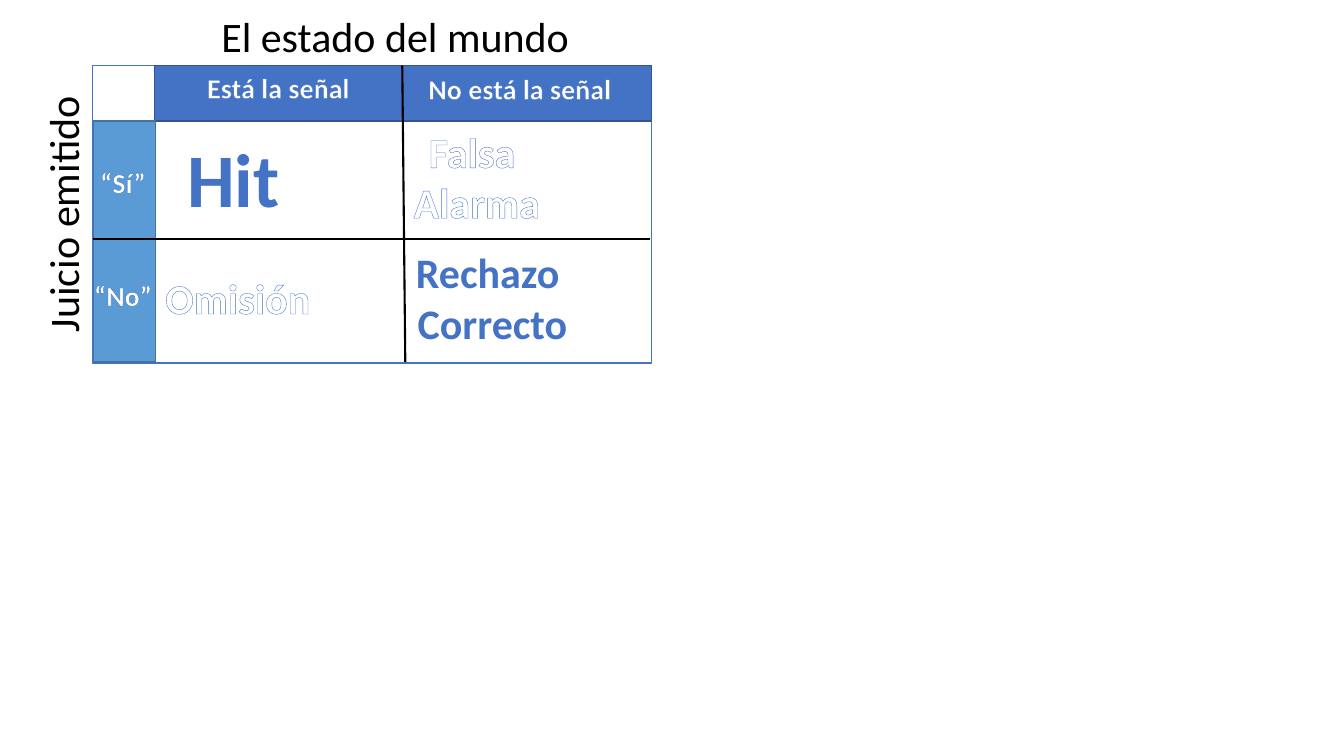
import dataclasses

import lxml.etree
import pptx
import pptx.dml.color
import pptx.enum.dml
import pptx.enum.shapes
import pptx.enum.text
import pptx.oxml.ns
import pptx.util

Inches = pptx.util.Inches
Pt = pptx.util.Pt
qn = pptx.oxml.ns.qn


@dataclasses.dataclass(frozen=True)
class Theme:
    font: str = "Calibri"
    white: str = "FFFFFF"
    black: str = "000000"
    blue: str = "4472C4"
    blue_edge: str = "325491"
    sky: str = "5B9BD5"
    sky_edge: str = "43739E"
    pale: str = "8FAADC"
    hit_size: int = 54
    large_size: int = 30
    header_size: int = 20


THEME = Theme()

# Text styles: outline is a colour and a width in points
CORRECT = {"color": THEME.blue, "bold": True, "outline": (THEME.white, 0.75)}
ERROR = {"color": THEME.pale, "bold": True, "outline": (THEME.blue, 1), "hatched": True}
HEADER = {"color": THEME.white, "bold": True, "outline": (THEME.blue, 0.8)}
AXIS = {"color": THEME.black, "bold": False}


def rgb(value):
    return pptx.dml.color.RGBColor.from_string(value)


def add_panel(page, place, fill, edge):
    panel = page.shapes.add_shape(
        pptx.enum.shapes.MSO_SHAPE.RECTANGLE, *map(Inches, place))
    panel.shadow.inherit = False
    panel.fill.solid()
    panel.fill.fore_color.rgb = rgb(fill)
    panel.line.color.rgb = rgb(edge)
    panel.line.width = Pt(1)


def add_divider(page, start, end):
    divider = page.shapes.add_connector(
        pptx.enum.shapes.MSO_CONNECTOR.STRAIGHT, *map(Inches, start + end))
    divider.line.color.rgb = rgb(THEME.black)
    divider.line.width = Pt(1.5)
    lxml.etree.SubElement(divider._element.spPr, qn("a:effectLst"))


def outline_text(span, color, width):
    line = lxml.etree.Element(qn("a:ln"), w=str(Pt(width)))
    fill = lxml.etree.SubElement(line, qn("a:solidFill"))
    lxml.etree.SubElement(fill, qn("a:srgbClr"), val=color)
    span.font._element.insert(0, line)


def add_label(page, place, lines, size, style, rotation=0):
    box = page.shapes.add_textbox(*map(Inches, place))
    box.rotation = rotation
    frame = box.text_frame
    frame.word_wrap = False
    frame.auto_size = pptx.enum.text.MSO_AUTO_SIZE.SHAPE_TO_FIT_TEXT
    font_values = {"name": THEME.font, "size": Pt(size), "bold": style["bold"]}
    for index, line in enumerate(lines):
        para = frame.add_paragraph() if index else frame.paragraphs[0]
        para.alignment = pptx.enum.text.PP_ALIGN.CENTER
        span = para.add_run()
        span.text = line
        for name, value in font_values.items():
            setattr(span.font, name, value)
        fill = span.font.fill
        if style.get("hatched"):
            fill.patterned()
            fill.pattern = pptx.enum.dml.MSO_PATTERN.LIGHT_DOWNWARD_DIAGONAL
            fill.back_color.rgb = rgb(THEME.white)
        else:
            fill.solid()
        fill.fore_color.rgb = rgb(style["color"])
        if "outline" in style:
            outline_text(span, *style["outline"])


def main():
    deck = pptx.Presentation()
    deck.slide_width, deck.slide_height = Inches(13.33), Inches(7.5)
    page = deck.slides.add_slide(deck.slide_layouts[6])

    # Matrix frame, column header and row header
    add_panel(page, (0.92, 0.65, 5.54, 2.95), THEME.white, THEME.blue)
    add_panel(page, (1.53, 0.65, 4.93, 0.55), THEME.blue, THEME.blue_edge)
    add_panel(page, (0.93, 1.2, 0.61, 2.39), THEME.sky, THEME.sky_edge)

    # Dividers between the four outcomes
    add_divider(page, (3.99, 0.65), (4.02, 3.59))
    add_divider(page, (0.92, 2.37), (6.45, 2.37))

    # Outcomes
    large, small = THEME.large_size, THEME.header_size
    add_label(page, (1.75, 1.26, 1.13, 1.01), ["Hit"], THEME.hit_size, CORRECT)
    add_label(page, (4.02, 2.4, 1.73, 1.11), ["Rechazo ", "Correcto"], large, CORRECT)
    add_label(page, (4, 1.2, 1.46, 1.11), ["Falsa ", "Alarma"], large, ERROR)
    add_label(page, (1.53, 2.65, 1.66, 0.61), ["Omisión"], large, ERROR)

    # Row and column headers
    add_label(page, (0.89, 1.59, 0.66, 0.44), ["“Sí”"], small, HEADER)
    add_label(page, (0.83, 2.71, 0.78, 0.44), ["“No”"], small, HEADER)
    add_label(page, (1.95, 0.65, 1.62, 0.44), ["Está la señal"], small, HEADER)
    add_label(page, (4.14, 0.66, 2.03, 0.44), ["No está la señal"], small, HEADER)

    # Axis names
    add_label(page, (2.08, 0.06, 3.68, 0.61), ["El estado del mundo"], large, AXIS)
    add_label(page, (-0.66, 1.82, 2.57, 0.61), ["Juicio emitido"], large, AXIS, 270)

    deck.save("out.pptx")


if __name__ == "__main__":
    main()
